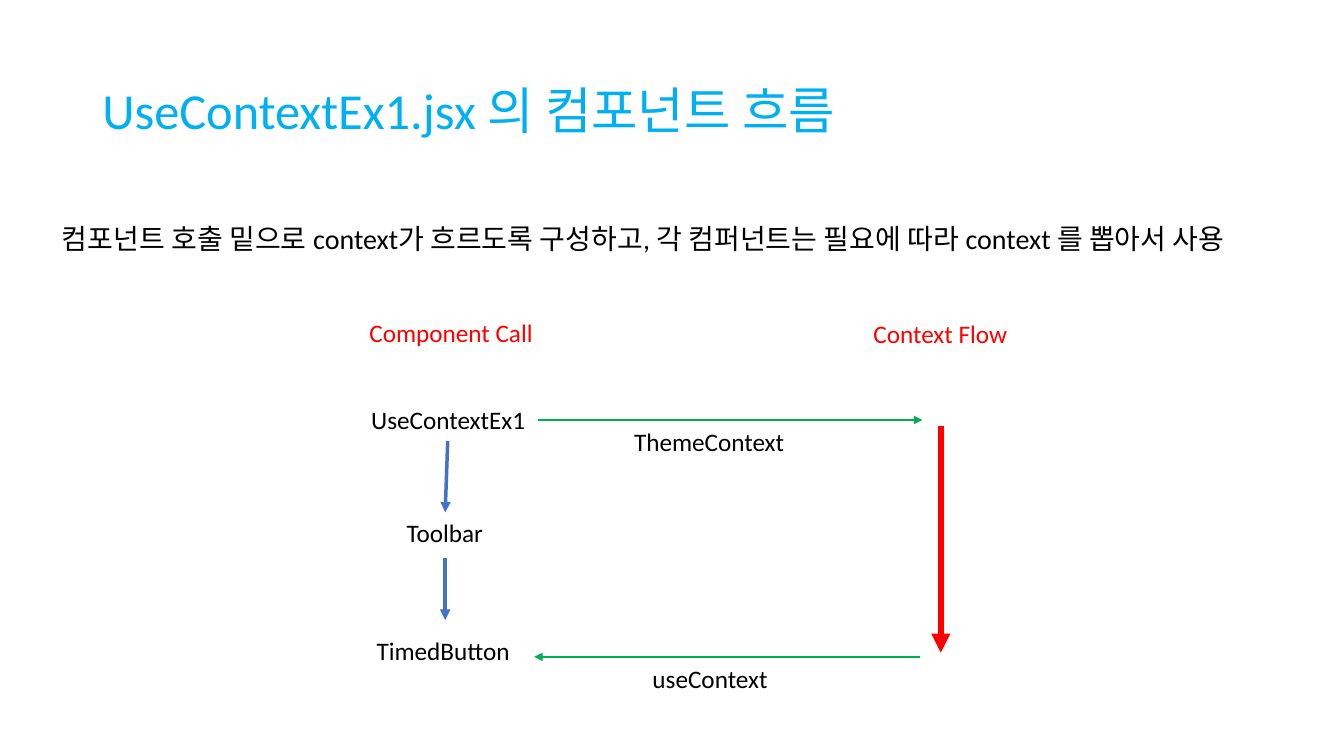
from lxml.etree import SubElement
from pptx import Presentation
from pptx.dml.color import RGBColor
from pptx.enum.shapes import MSO_CONNECTOR as Connector
from pptx.enum.text import MSO_ANCHOR as Anchor, PP_ALIGN as Align
from pptx.oxml.ns import qn
from pptx.util import Inches, Pt

COLUMNS, ROWS = 160, 90
BLACK, RED, GREEN, BLUE, SKY = "000000", "FF0000", "00B050", "4472C4", "00B0F0"


def color(value):
    return RGBColor.from_string(value)


def apply(target, values):
    for name, value in values.items():
        setattr(target, name, value)


class FlowSlide:
    """Holds the style and the slide, placing elements on a 160 x 90 grid."""

    def __init__(self, presentation, font="Calibri"):
        self.slide = presentation.slides.add_slide(presentation.slide_layouts[6])
        self.column = presentation.slide_width / COLUMNS
        self.row = presentation.slide_height / ROWS
        self.font = font

    def place(self, *cells):
        units = (self.column, self.row) * 2
        return [round(cell * unit) for cell, unit in zip(cells, units)]

    def text(self, wording, box, ink=BLACK, size=18, wrap=False,
             align=Align.LEFT, anchor=Anchor.TOP, spacing=1.0):
        shape = self.slide.shapes.add_textbox(*self.place(*box))
        apply(shape.text_frame, {"word_wrap": wrap, "vertical_anchor": anchor})
        paragraph = shape.text_frame.paragraphs[0]
        apply(paragraph, {"alignment": align, "line_spacing": spacing})
        run = paragraph.add_run()
        run.text = wording
        apply(run.font, {"name": self.font, "size": Pt(size)})
        run.font.color.rgb = color(ink)

    def arrow(self, start, end, ink, width):
        shape = self.slide.shapes.add_connector(
            Connector.STRAIGHT, *self.place(*start, *end))
        shape.line.color.rgb = color(ink)
        shape.line.width = Pt(width)
        properties = shape.line._get_or_add_ln()
        SubElement(properties, qn("a:tailEnd"), type="triangle")
        SubElement(shape._element.spPr, qn("a:effectLst"))


presentation = Presentation()
apply(presentation, {"slide_width": Inches(13.333), "slide_height": Inches(7.5)})
flow = FlowSlide(presentation)

# Title and summary
flow.text("UseContextEx1.jsx 의 컴포넌트 흐름", (11, 4.8, 138, 17.4), SKY, 36,
          wrap=True, anchor=Anchor.MIDDLE, spacing=0.9)
flow.text("컴포넌트 호출 밑으로 context가 흐르도록 구성하고, "
          "각 컴퍼넌트는 필요에 따라 context 를 뽑아서 사용 ",
          (6.2, 25.8, 152.2, 5.3), size=20)

# Column headings and context labels
for wording, box, ink in [
    ("Component Call", (42.8, 37.2, 22.1, 4.8), RED),
    ("Context Flow", (102.8, 37.3, 18.5, 4.8), RED),
    ("ThemeContext", (74.3, 50.2, 20.5, 4.8), BLACK),
    ("useContext", (76.5, 78.4, 16.3, 4.8), BLACK),
]:
    flow.text(wording, box, ink)

# Component chain
for wording, left, top in [("UseContextEx1", 39.5, 47.6),
                           ("Toolbar", 39.1, 61),
                           ("TimedButton", 38.9, 75)]:
    flow.text(wording, (left, top, 27.7, 4.8), wrap=True, align=Align.CENTER)

# Call arrows, context flow, then context provided and consumed
for start, end, ink, width in [
    ((53.3, 52.5), (53, 61), BLUE, 2.5),
    ((53, 66.4), (53, 73.8), BLUE, 2.5),
    ((112, 50.7), (112, 77.7), RED, 4.5),
    ((64, 50), (109.8, 50), GREEN, 1.5),
    ((109.5, 78.2), (63.6, 78.2), GREEN, 1.5),
]:
    flow.arrow(start, end, ink, width)

presentation.save("out.pptx")
